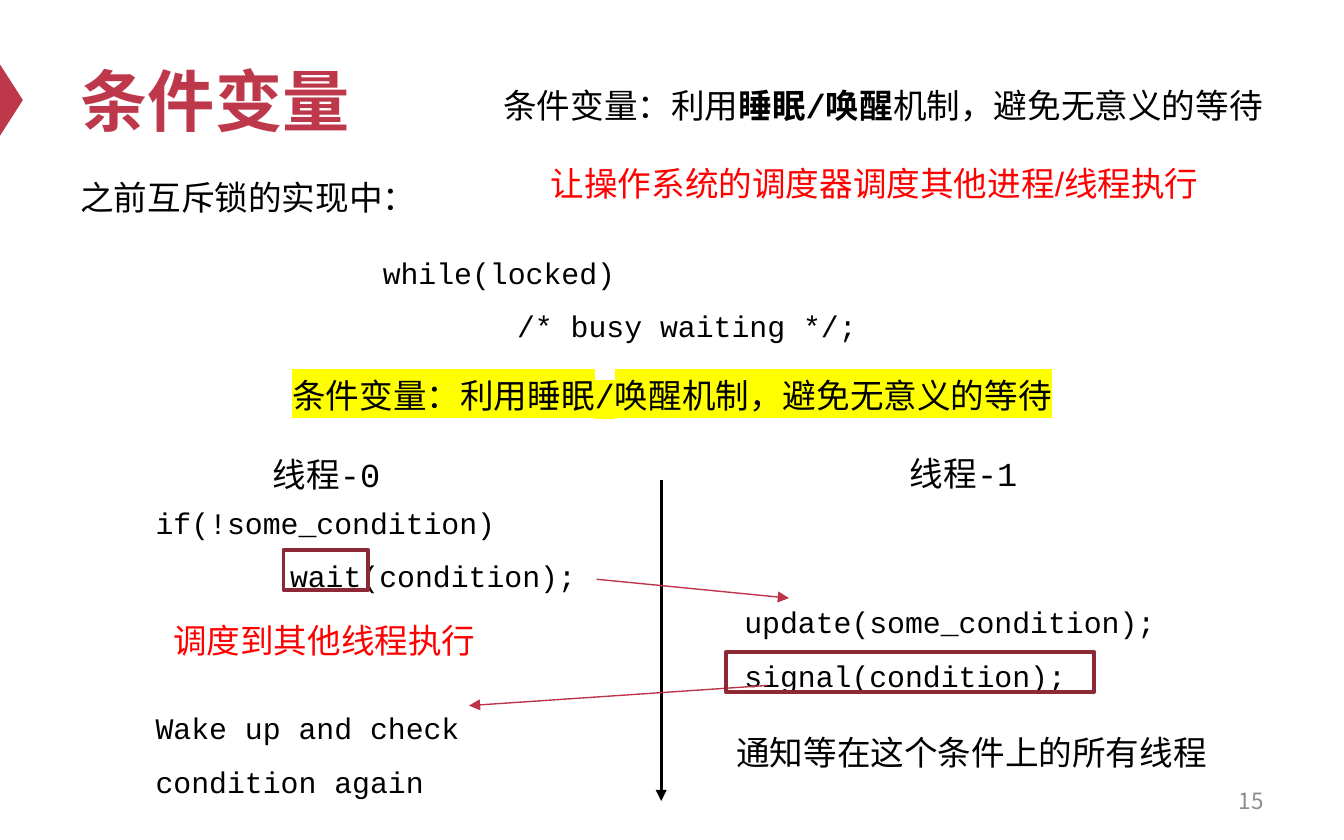
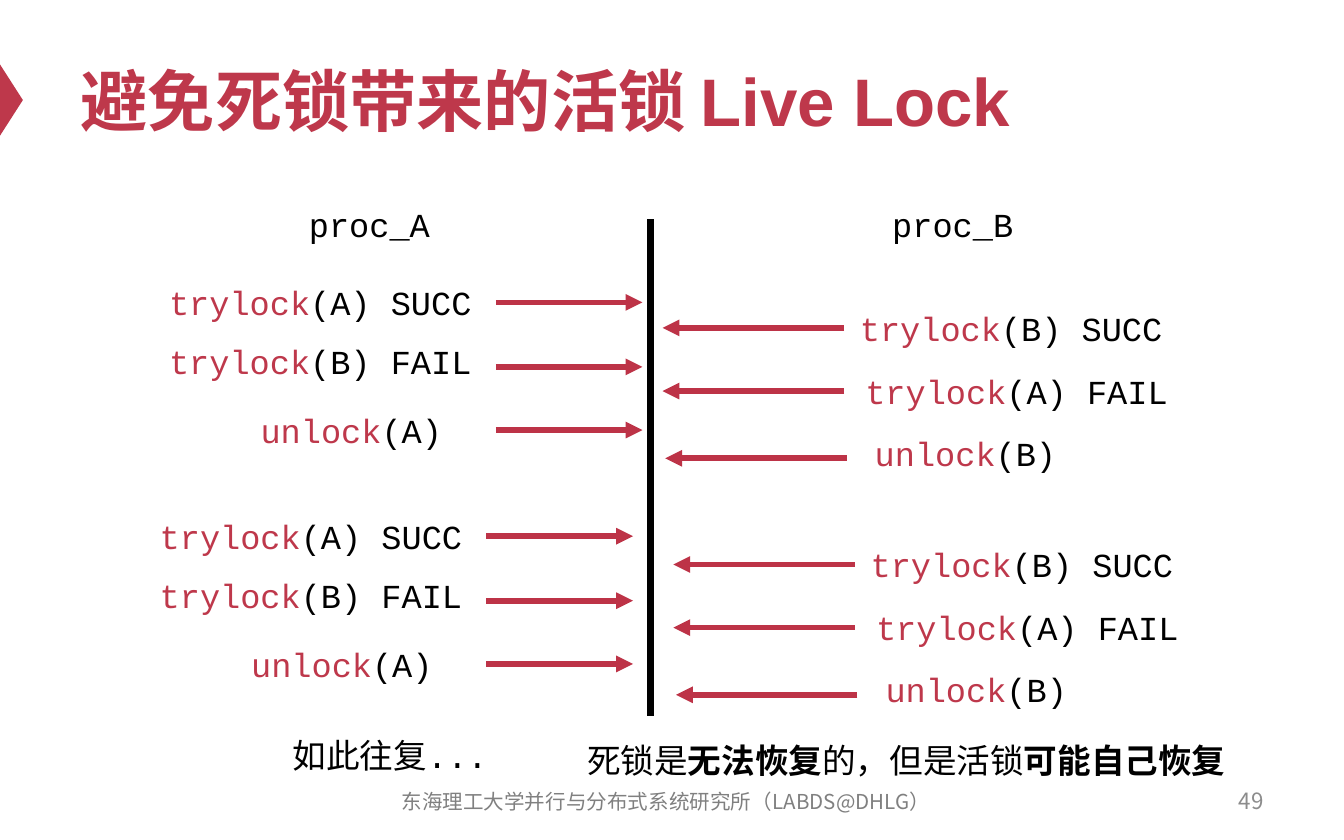
import pptx
import pptx.util
import pptx.dml.color
import pptx.enum.shapes
import pptx.enum.text
import pptx.oxml
import pptx.oxml.ns

Inches = pptx.util.Inches
Pt = pptx.util.Pt
RGBColor = pptx.dml.color.RGBColor
SHAPE = pptx.enum.shapes.MSO_SHAPE
STRAIGHT = pptx.enum.shapes.MSO_CONNECTOR.STRAIGHT
ALIGN = pptx.enum.text.PP_ALIGN
ANCHOR = pptx.enum.text.MSO_ANCHOR
AUTO = pptx.enum.text.MSO_AUTO_SIZE
qn = pptx.oxml.ns.qn
NS = pptx.oxml.ns.nsdecls("a")

BRAND = RGBColor(0xBE, 0x38, 0x4B)
ARROW = RGBColor(0xBD, 0x33, 0x47)
FRAME = RGBColor(0x8D, 0x29, 0x37)
BLACK = RGBColor(0, 0, 0)
RED = RGBColor(0xFF, 0, 0)
NUMBER_GRAY = RGBColor(0x8C, 0x8C, 0x8C)
FOOTER_GRAY = RGBColor(0x80, 0x80, 0x80)
YELLOW = RGBColor(0xFF, 0xFF, 0)

MONO, SANS, CJK = "Courier New", "Arial", "Noto Sans CJK SC"
TEXT_HEIGHT = 0.4
CODE_HEIGHT = 0.87
CODE_TAB = Inches(1)

CONDITION_TITLE = "条件变量"
CONDITION_PAGE = "15"
CODE_BLOCKS = [
    (2.75, 1.71, 4.5, ["while(locked)", "\t/* busy waiting */;"]),
    (1.06, 3.57, 3.37, ["if(!some_condition)", "\twait(condition);"]),
    (5.44, 4.31, 3.63, ["update(some_condition);", "signal(condition);"]),
    (1.06, 5.1, 3.54, ["Wake up and check condition again"]),
]
CONDITION_NOTES = [
    (0.5, 1.27, 3.86, "之前互斥锁的实现中：", {}),
    (1.83, 2.74, 6.34, "条件变量：利用睡眠/唤醒机制，避免无意义的等待",
     {"align": ALIGN.CENTER, "highlight": YELLOW}),
    (1.5, 3.33, 1.86, "线程-0", {"align": ALIGN.CENTER}),
    (5.87, 3.32, 2.6, "线程-1", {"align": ALIGN.CENTER}),
    (1.19, 4.56, 2.47, "调度到其他线程执行", {"color": RED}),
    (4, 1.16, 5.07, "让操作系统的调度器调度其他进程/线程执行", {"color": RED, "font": SANS}),
    (5.38, 5.4, 3.74, "通知等在这个条件上的所有线程", {"font": SANS}),
]
CONDITION_SUMMARY = [
    ("条件变量：利用", {}), ("睡眠/唤醒", {"bold": True}), ("机制，避免无意义的等待", {})]
TIME_AXIS = ((4.92, 3.57), (4.92, 5.96))
SWITCHES = [((4.44, 4.31), (5.87, 4.45)), ((5.71, 5.1), (3.49, 5.25))]
CALL_FRAMES = [(2.11, 4.09, 0.63, 0.3), (5.4, 4.85, 2.74, 0.3)]

LIVELOCK_TITLE = "避免死锁带来的活锁 Live Lock"
LIVELOCK_PAGE = "49"
FOOTER = "东海理工大学并行与分布式系统研究所（LABDS@DHLG）"
DIVIDER = ((4.84, 1.63), (4.84, 5.33))
PROCESSES = [
    {
        "name": "proc_A", "name_left": 2.2,
        "rounds": [(0, 0), (-0.07, 1.74)],
        "steps": [
            ("trylock", "(A) SUCC", 1.16, 2.05, 2.54, 3.69, 2.25),
            ("trylock", "(B) FAIL", 1.16, 2.49, 2.5, 3.69, 2.73),
            ("unlock", "(A)", 1.84, 3, 1.62, 3.69, 3.2),
        ],
        "reach": 1.09,
    },
    {
        "name": "proc_B", "name_left": 6.54,
        "rounds": [(0, 0), (0.08, 1.76)],
        "steps": [
            ("trylock", "(B) SUCC", 6.3, 2.24, 2.97, 6.28, 2.44),
            ("trylock", "(A) FAIL", 6.34, 2.71, 2.5, 6.28, 2.91),
            ("unlock", "(B)", 6.41, 3.17, 1.62, 6.3, 3.41),
        ],
        "reach": -1.35,
    },
]
REPEAT = (2.08, 5.42, 2.61, "如此往复...")
CONCLUSION = [
    ("死锁是", {}), ("无法恢复", {"bold": True}),
    ("的，但是活锁", {}), ("可能自己恢复", {"bold": True})]


def format_run(r, font=MONO, size=18, color=BLACK, bold=False, highlight=None):
    r.font.size = Pt(size)
    r.font.bold = bold
    r.font.color.rgb = color
    r.font.name = font
    rPr = r.font._element
    rPr.find(qn("a:latin")).addnext(
        pptx.oxml.parse_xml(f'<a:ea {NS} typeface="{CJK}"/>'))
    if highlight:
        rPr.find(qn("a:solidFill")).addnext(pptx.oxml.parse_xml(
            f'<a:highlight {NS}><a:srgbClr val="{highlight}"/></a:highlight>'))


def add_box(s, left, top, width, height, anchor=ANCHOR.TOP, grow=True):
    sp = s.shapes.add_textbox(*map(Inches, (left, top, width, height)))
    tf = sp.text_frame
    tf.word_wrap = True
    tf.vertical_anchor = anchor
    tf.auto_size = AUTO.SHAPE_TO_FIT_TEXT if grow else AUTO.NONE
    return tf


def fill_lines(tf, lines, align=ALIGN.LEFT, **style):
    tf.text = "\n".join(lines)
    for p in tf.paragraphs:
        p.alignment = align
        for r in p.runs:
            format_run(r, **style)


def add_code(s, left, top, width, lines):
    tf = add_box(s, left, top, width, CODE_HEIGHT)
    fill_lines(tf, lines, size=16)
    for p in tf.paragraphs:
        p.line_spacing = 1.5
        p._p.get_or_add_pPr().append(pptx.oxml.parse_xml(
            f'<a:tabLst {NS}><a:tab pos="{CODE_TAB}" algn="l"/></a:tabLst>'))


def add_note(s, left, top, width, text, **style):
    fill_lines(add_box(s, left, top, width, TEXT_HEIGHT), [text], **style)


def add_mixed(s, left, top, width, parts, align=ALIGN.LEFT):
    p = add_box(s, left, top, width, TEXT_HEIGHT).paragraphs[0]
    p.alignment = align
    for text, style in parts:
        r = p.add_run()
        r.text = text
        format_run(r, **style)


def add_line(s, start, end, color, width, arrow=True):
    line = s.shapes.add_connector(STRAIGHT, *map(Inches, (*start, *end)))
    line.line.color.rgb = color
    line.line.width = Pt(width)
    if arrow:
        line.line._get_or_add_ln().append(
            pptx.oxml.parse_xml(f'<a:tailEnd {NS} type="triangle"/>'))
    line._element.spPr.append(pptx.oxml.parse_xml(f'<a:effectLst {NS}/>'))


def add_frame(s, left, top, width, height):
    sp = s.shapes.add_shape(
        SHAPE.RECTANGLE, *map(Inches, (left, top, width, height)))
    sp.shadow.inherit = False
    sp.fill.background()
    sp.line.color.rgb = FRAME
    sp.line.width = Pt(2)


def add_slide(prs, title, page):
    s = prs.slides.add_slide(prs.slide_layouts[5])
    marker = s.shapes.add_shape(
        SHAPE.ISOSCELES_TRIANGLE, *map(Inches, (-0.18, 0.66, 0.53, 0.17)))
    marker.rotation = 90
    marker.shadow.inherit = False
    marker.fill.solid()
    marker.fill.fore_color.rgb = BRAND
    marker.line.fill.background()

    sp = s.shapes.title
    sp.left, sp.top, sp.width, sp.height = map(Inches, (0.5, 0.25, 9, 0.98))
    tf = sp.text_frame
    tf.vertical_anchor = ANCHOR.MIDDLE
    tf.auto_size = AUTO.NONE
    fill_lines(tf, [title], font=SANS, size=36, color=BRAND, bold=True)

    number = add_box(s, 7.17, 5.79, 2.33, 0.33, ANCHOR.MIDDLE, grow=False)
    fill_lines(number, [page], ALIGN.RIGHT, font=CJK, size=12, color=NUMBER_GRAY)
    return s


def build_condition(prs):
    s = add_slide(prs, CONDITION_TITLE, CONDITION_PAGE)
    for block in CODE_BLOCKS:
        add_code(s, *block)
    for left, top, width, text, style in CONDITION_NOTES:
        add_note(s, left, top, width, text, **style)
    add_mixed(s, 3.4, 0.58, 6.34, CONDITION_SUMMARY, ALIGN.CENTER)
    add_line(s, *TIME_AXIS, BLACK, 1.5)
    for start, end in SWITCHES:
        add_line(s, start, end, ARROW, 0.75)
    for frame in CALL_FRAMES:
        add_frame(s, *frame)


def build_livelock(prs):
    s = add_slide(prs, LIVELOCK_TITLE, LIVELOCK_PAGE)
    footer = add_box(s, 2.79, 5.8, 4.33, 0.33, ANCHOR.MIDDLE, grow=False)
    fill_lines(footer, [FOOTER], ALIGN.CENTER, font=CJK, size=11, color=FOOTER_GRAY)
    add_line(s, *DIVIDER, BLACK, 4, arrow=False)
    for process in PROCESSES:
        add_note(s, process["name_left"], 1.47, 1.18, process["name"])
        for dx, dy in process["rounds"]:
            for call, result, left, top, width, x, y in process["steps"]:
                parts = [(call, {"color": BRAND}), (result, {})]
                add_mixed(s, left + dx, top + dy, width, parts)
                start = (x + dx, y + dy)
                end = (x + dx + process["reach"], y + dy)
                add_line(s, start, end, ARROW, 3)
    add_note(s, *REPEAT)
    add_mixed(s, 4.27, 5.46, 5.2, CONCLUSION)


def main():
    prs = pptx.Presentation()
    prs.slide_width = Inches(10)
    prs.slide_height = Inches(6.25)
    build_condition(prs)
    build_livelock(prs)
    prs.save("out.pptx")


if __name__ == "__main__":
    main()
